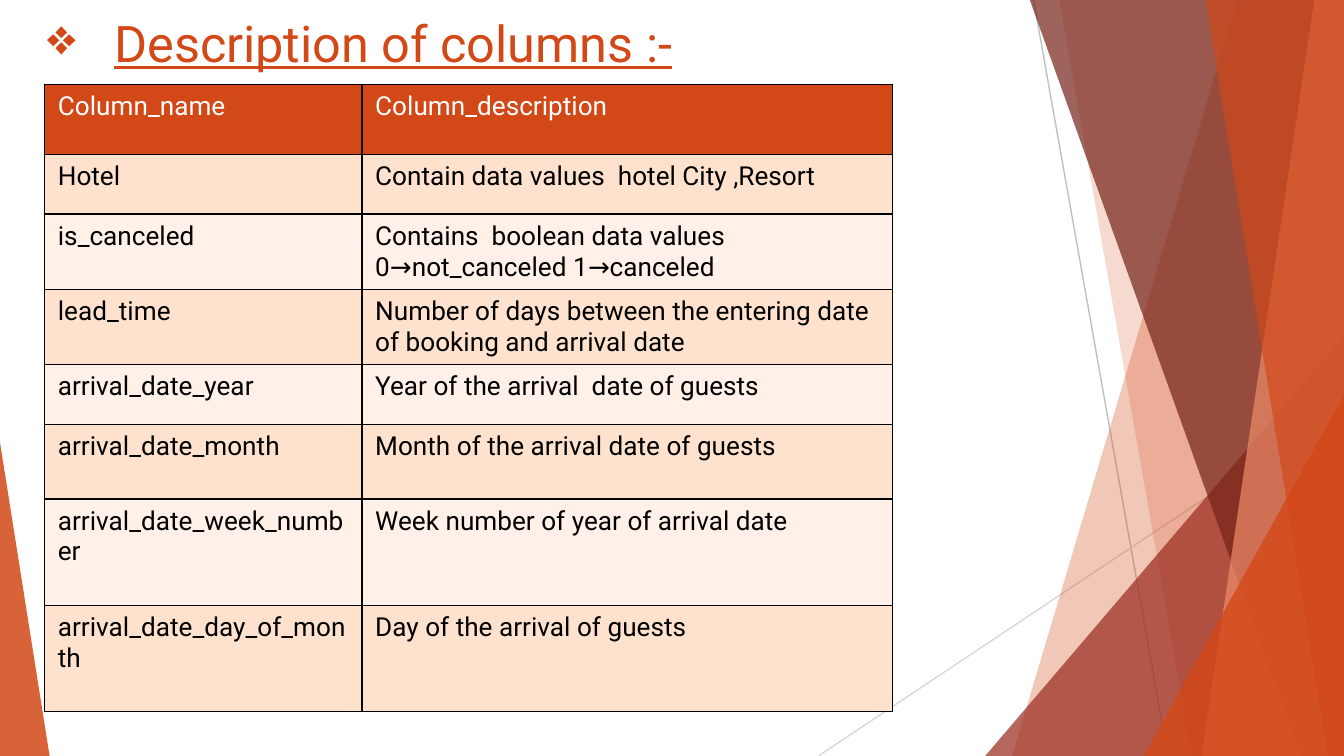
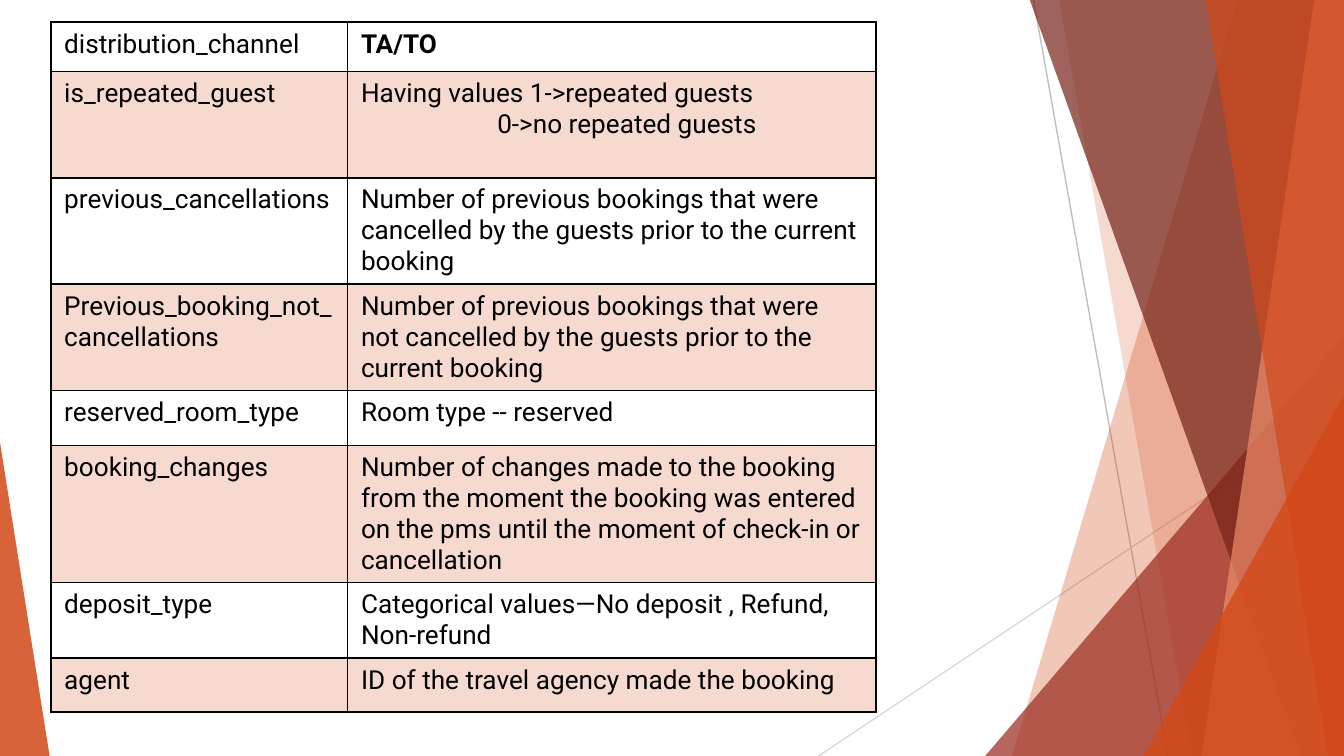
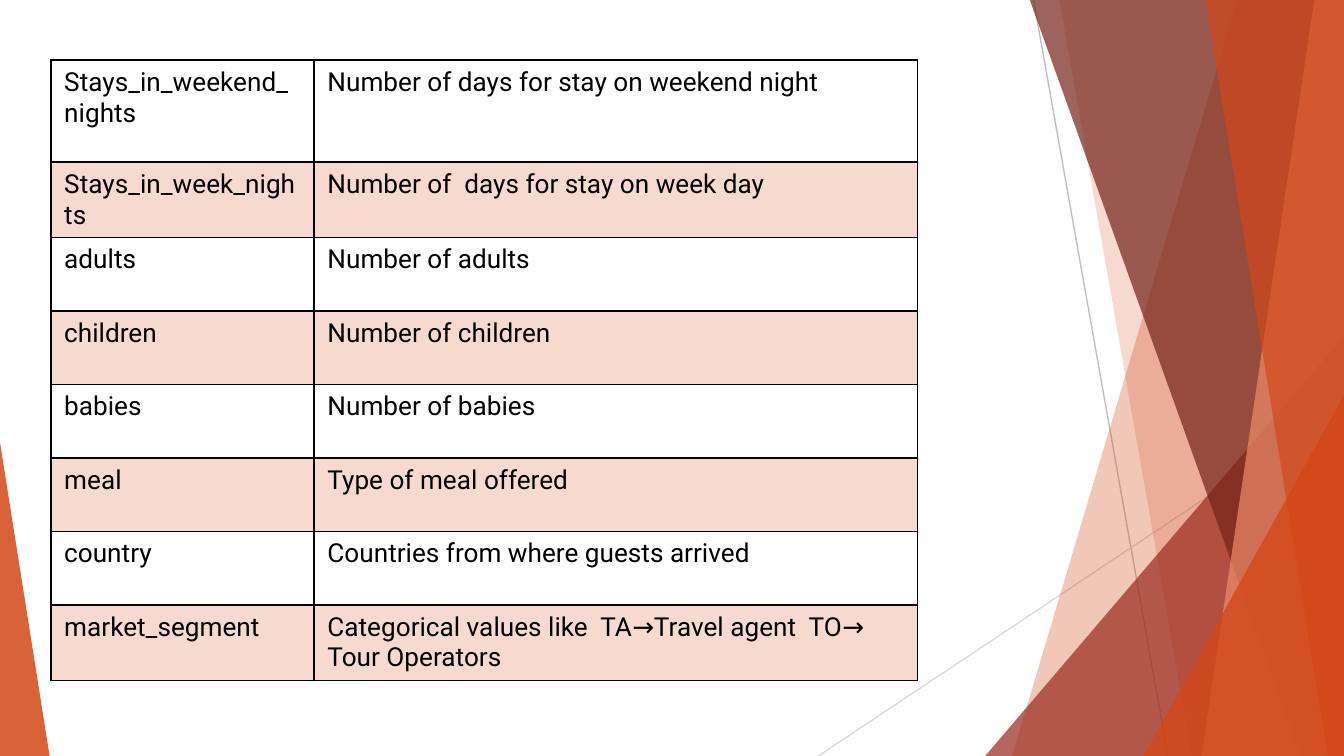
"""Builds three slides that describe the columns of a hotel booking data set."""
import lxml.etree
import pptx
import pptx.dml.color
import pptx.enum.shapes
import pptx.enum.text
import pptx.oxml.ns
import pptx.util

Pt = pptx.util.Pt
WIDTH, HEIGHT = 720, 405
FONT = "Roboto"
ORANGE, RUST, MAROON, SALMON = "D34817", "9B2D1F", "742217", "EF8C6A"
BLACK, WHITE = "000000", "FFFFFF"
PEACH, CREAM = "FFE2CD", "FFF1E8"
TITLE_ONLY, BLANK = 5, 6

ARRIVAL_ROWS = [
    (37.5, "Column_name", "Column_description"),
    (32, "Hotel", "Contain data values  hotel City ,Resort"),
    (40, "is_canceled", "Contains  boolean data values 0→not_canceled 1→canceled"),
    (40, "lead_time", "Number of days between the entering date of booking and arrival date"),
    (32, "arrival_date_year", "Year of the arrival  date of guests"),
    (40, "arrival_date_month", "Month of the arrival date of guests"),
    (57, "arrival_date_week_number", "Week number of year of arrival date"),
    (57, "arrival_date_day_of_month", "Day of the arrival of guests"),
]
BOOKING_ROWS = [
    (26.5, "distribution_channel", "TA/TO"),
    (57, "is_repeated_guest", "Having values 1->repeated guests\n0->no repeated guests"),
    (57, "previous_cancellations",
     "Number of previous bookings that were cancelled by the guests prior to the current booking"),
    (57, "Previous_booking_not_cancellations",
     "Number of previous bookings that were  not cancelled by the guests prior to the current booking"),
    (29.5, "reserved_room_type", "Room type -- reserved"),
    (73.5, "booking_changes",
     "Number of changes made to the booking from the moment the booking was entered "
     "on the pms until the moment of check-in or cancellation"),
    (40, "deposit_type", "Categorical values—No deposit , Refund, Non-refund"),
    (29, "agent", "ID of the travel agency made the booking"),
]
STAY_ROWS = [
    (54.7, "Stays_in_weekend_nights", "Number of days for stay on weekend night"),
    (40, "Stays_in_week_nights", "Number of  days for stay on week day"),
    (39.4, "adults", "Number of adults"),
    (39.4, "children", "Number of children"),
    (39.4, "babies", "Number of babies"),
    (39.4, "meal", "Type of meal offered"),
    (39.4, "country", "Countries from where guests arrived"),
    (40.4, "market_segment", "Categorical values like  TA→Travel agent  TO→ Tour Operators"),
]


def rgb(value):
    """Turn a hex string into a colour."""
    return pptx.dml.color.RGBColor.from_string(value)


def add_xml(parent, tag, **attributes):
    """Append a DrawingML element to the parent."""
    return lxml.etree.SubElement(parent, pptx.oxml.ns.qn(tag), attributes)


def set_opacity(element, percent):
    """Make the colours below the element partly transparent."""
    for colour in element.xpath(".//a:srgbClr"):
        add_xml(colour, "a:alpha", val=str(percent * 1000))


class Deck:
    """Hold the presentation, its style and the current slide."""

    def __init__(self):
        """Start a wide presentation."""
        self.presentation = pptx.Presentation()
        self.presentation.slide_width = Pt(WIDTH)
        self.presentation.slide_height = Pt(HEIGHT)
        self.slide = None

    def add_slide(self, layout):
        """Make a new slide the current one."""
        layouts = self.presentation.slide_layouts
        self.slide = self.presentation.slides.add_slide(layouts[layout])

    def paint(self, shape, colour, opacity):
        """Give a shape a plain see-through fill."""
        shape.shadow.inherit = False
        shape.line.fill.background()
        shape.fill.solid()
        shape.fill.fore_color.rgb = rgb(colour)
        set_opacity(shape.element, opacity)

    def thin_line(self, start, end, colour):
        """Draw a hairline between two points."""
        line = self.slide.shapes.add_connector(
            pptx.enum.shapes.MSO_CONNECTOR.STRAIGHT, *map(Pt, start + end))
        line.line.color.rgb = rgb(colour)
        line.line.width = Pt(0.75)
        add_xml(line.element.spPr, "a:effectLst")

    def shard(self, top_x, bottom_x, colour, opacity):
        """Draw a full-height band from a slanted edge to the right side."""
        top = -0.6
        builder = self.slide.shapes.build_freeform(Pt(top_x), Pt(top))
        corners = [(WIDTH, top), (WIDTH, HEIGHT), (bottom_x, HEIGHT)]
        builder.add_line_segments([(Pt(x), Pt(y)) for x, y in corners])
        self.paint(builder.convert_to_shape(), colour, opacity)

    def corner(self, left, right, top, apex, colour, opacity):
        """Draw a triangle that stands on the bottom edge."""
        triangle = self.slide.shapes.add_shape(
            pptx.enum.shapes.MSO_SHAPE.ISOSCELES_TRIANGLE,
            Pt(left), Pt(top), Pt(right - left), Pt(HEIGHT - top))
        triangle.adjustments[0] = apex
        self.paint(triangle, colour, opacity)

    def backdrop(self):
        """Draw the shared facets and move them to the slide master."""
        self.thin_line((553.7, 0), (625.7, HEIGHT), "BFBFBF")
        self.thin_line((WIDTH, 217.4), (438.5, HEIGHT), "D9D9D9")
        self.shard(663.1, 542.2, ORANGE, 30)
        self.shard(567.4, 638.6, ORANGE, 20)
        self.corner(527.8, WIDTH, 180, 1, RUST, 72)
        self.shard(551.5, 697, MAROON, 70)
        self.shard(704.2, 643.7, SALMON, 70)
        self.shard(645.8, 711.4, ORANGE, 65)
        self.corner(612.7, WIDTH, 211.7, 1, ORANGE, 80)
        self.corner(0, 26.6, 236.9, 0, ORANGE, 85)
        facets = [shape for shape in self.slide.shapes if not shape.is_placeholder]
        for number, facet in enumerate(facets, 20):
            facet.element.xpath("./*/p:cNvPr")[0].set("id", str(number))
            self.presentation.slide_master.shapes.element.append(facet.element)

    def style_run(self, run, size, colour):
        """Set the font of a run."""
        run.font.name = FONT
        run.font.size = Pt(size)
        run.font.color.rgb = rgb(colour)

    def title(self, text):
        """Fill the title placeholder with a bulleted, underlined heading."""
        heading = self.slide.shapes.title
        heading.left, heading.top, heading.width, heading.height = map(Pt, (18, 0, 671, 45.4))
        frame = heading.text_frame
        frame.text = text
        frame.word_wrap = True
        frame.vertical_anchor = pptx.enum.text.MSO_ANCHOR.MIDDLE
        frame.margin_left = frame.margin_right = frame.margin_top = frame.margin_bottom = Pt(7.2)
        paragraph = frame.paragraphs[0]
        paragraph.alignment = pptx.enum.text.PP_ALIGN.LEFT
        run = paragraph.runs[0]
        self.style_run(run, 27, ORANGE)
        run.font.underline = True
        bullet = heading.element.xpath(".//a:pPr")[0]
        bullet.set("marL", str(Pt(36)))
        bullet.set("indent", str(Pt(-36)))
        add_xml(bullet, "a:buChar", char="❖")

    def border(self, cell_element):
        """Draw a black line on all four sides of a cell."""
        properties = cell_element.get_or_add_tcPr()
        for position, side in enumerate(("lnL", "lnR", "lnT", "lnB")):
            edge = add_xml(properties, "a:" + side, w=str(Pt(1)))
            add_xml(add_xml(edge, "a:solidFill"), "a:srgbClr", val=BLACK)
            properties.insert(position, edge)

    def column_table(self, left, top, widths, rows, header=False):
        """Add a table of column names and descriptions with banded rows."""
        heights = [row[0] for row in rows]
        frame = self.slide.shapes.add_table(
            len(rows), len(widths), Pt(left), Pt(top), Pt(sum(widths)), Pt(sum(heights)))
        table = frame.table
        table.first_row = header
        table.horz_banding = False
        for column, width in zip(table.columns, widths):
            column.width = Pt(width)
        elements = iter(frame.element.xpath(".//a:tc"))
        for index, (height, *texts) in enumerate(rows):
            table.rows[index].height = Pt(height)
            for column, text in enumerate(texts):
                self.fill_cell(table.cell(index, column), next(elements), text, index, header)

    def fill_cell(self, cell, element, text, index, header):
        """Write, colour and outline one cell."""
        cell.text_frame.text = text
        is_heading = header and index == 0
        for paragraph in cell.text_frame.paragraphs:
            for run in paragraph.runs:
                self.style_run(run, 14, WHITE if is_heading else BLACK)
                if text == "TA/TO":
                    run.font.bold = True
        for continuation in element.xpath("./a:txBody/a:p")[1:]:
            continuation.get_or_add_pPr().set("marL", str(Pt(73)))
        if header or index % 2:
            cell.fill.solid()
            band = (PEACH if index % 2 else CREAM) if header else ORANGE
            cell.fill.fore_color.rgb = rgb(ORANGE if is_heading else band)
            if not header:
                set_opacity(element.tcPr, 20)
        else:
            cell.fill.background()
        self.border(element)


def main():
    """Build and save the slides."""
    deck = Deck()
    deck.add_slide(TITLE_ONLY)
    deck.backdrop()
    deck.title("Description of columns :-")
    deck.column_table(23.8, 45.2, (170, 284.4), ARRIVAL_ROWS, header=True)
    deck.add_slide(BLANK)
    deck.column_table(27.2, 11.8, (159, 283), BOOKING_ROWS)
    deck.add_slide(BLANK)
    deck.column_table(27.2, 32.2, (141, 323.4), STAY_ROWS)
    deck.presentation.save("out.pptx")


if __name__ == "__main__":
    main()
